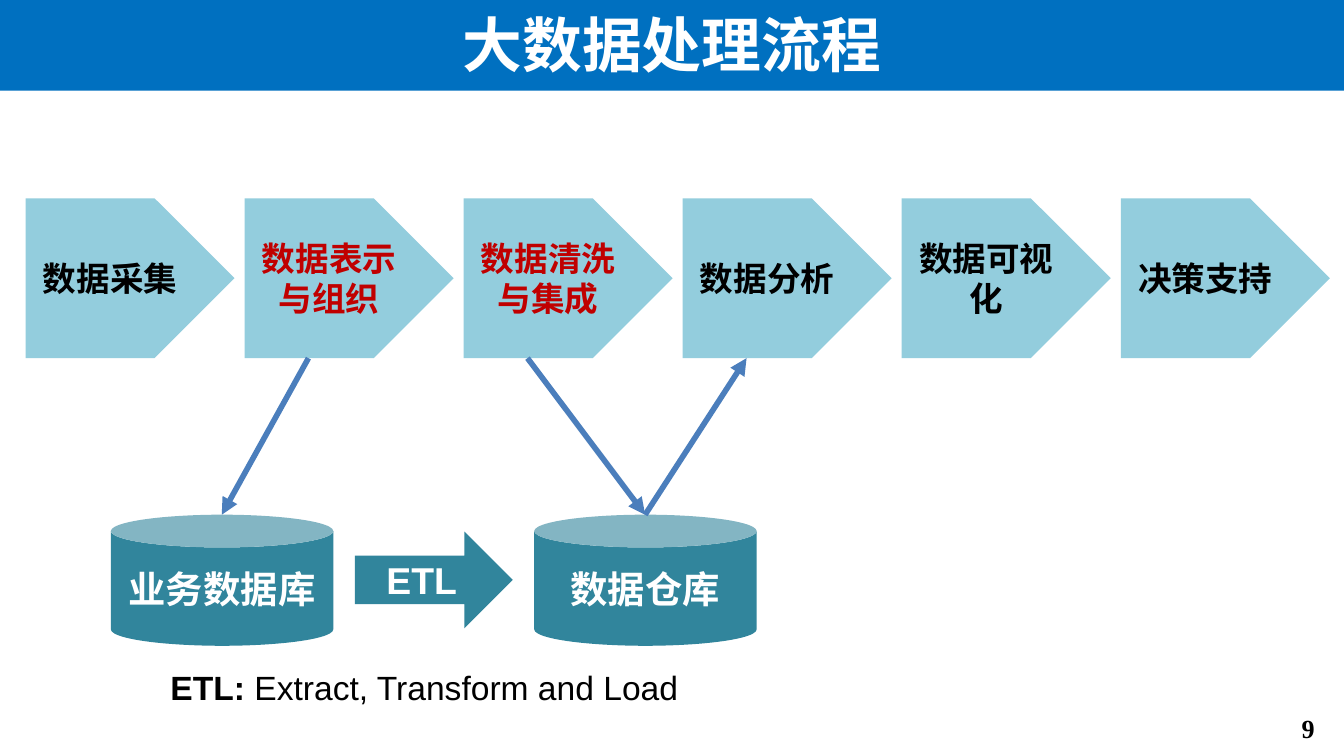
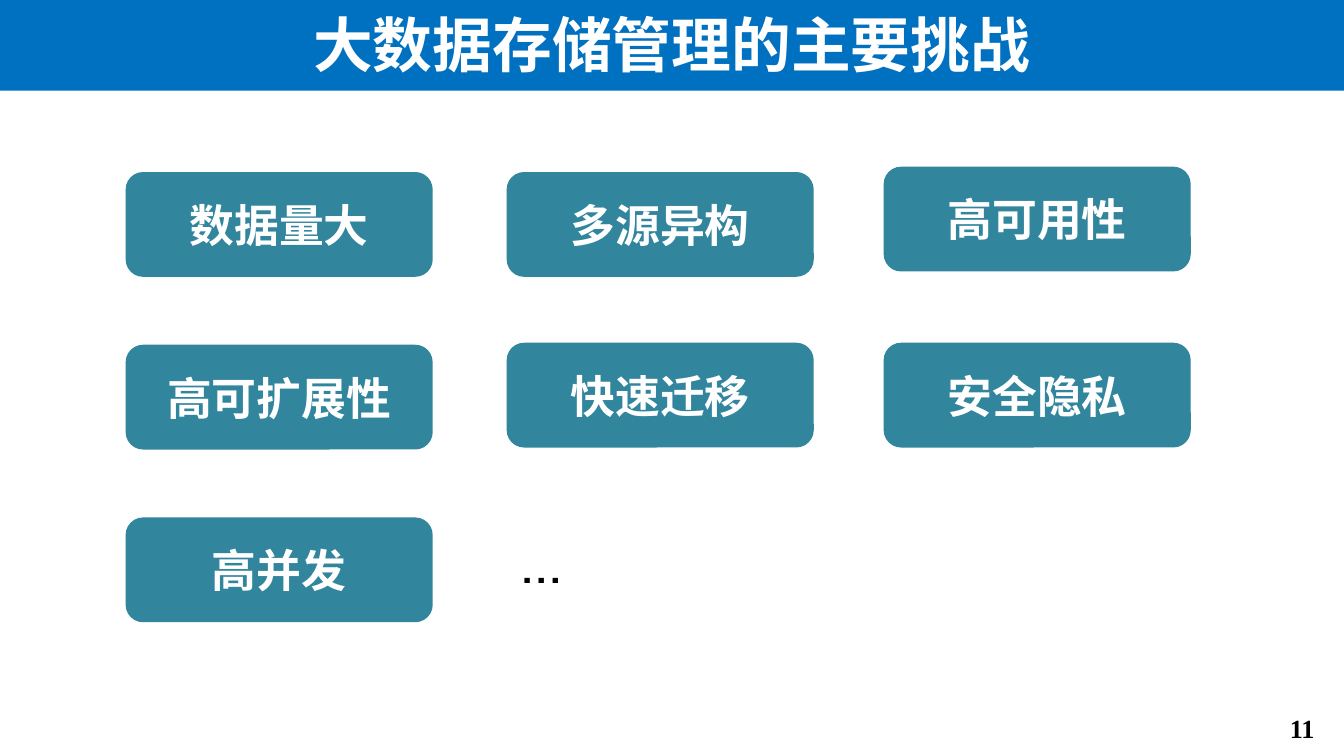
from dataclasses import dataclass

from lxml.etree import SubElement
from pptx import Presentation
from pptx.dml.color import RGBColor
from pptx.enum.shapes import MSO_CONNECTOR, MSO_SHAPE
from pptx.enum.text import MSO_ANCHOR, PP_ALIGN
from pptx.oxml.ns import qn
from pptx.presentation import Presentation as Deck
from pptx.slide import Slide
from pptx.text.text import TextFrame
from pptx.util import Emu, Pt

PX = 4572  # EMU in one px: 200 px to the inch
PAGE_WIDTH, PAGE_HEIGHT = 2000, 1125


@dataclass(frozen=True)
class Theme:
    band: str = "0070C0"
    stage: str = "93CDDD"
    block: str = "31859C"
    arrow: str = "4B7EBC"
    white: str = "FFFFFF"
    black: str = "000000"
    accent: str = "C00000"
    cjk: str = "Noto Sans CJK SC"
    latin: str = "Arial"
    number: str = "Times New Roman"
    symbol: str = "Cabin"
    title_size: int = 32
    challenge_size: int = 24
    block_size: int = 20
    body_size: int = 18
    number_size: int = 14
    arrow_width: int = 3


THEME = Theme()


@dataclass(frozen=True)
class Area:
    left: int
    top: int
    width: int
    height: int

    def emu(self) -> tuple[Emu, ...]:
        sides = (self.left, self.top, self.width, self.height)
        return tuple(Emu(side * PX) for side in sides)


@dataclass(frozen=True)
class Style:
    size: int
    color: str
    font: str = THEME.cjk
    bold: bool = True
    align: PP_ALIGN = PP_ALIGN.CENTER


@dataclass(frozen=True)
class Block:
    text: str
    area: Area
    kind: MSO_SHAPE
    fill: str
    style: Style


@dataclass(frozen=True)
class Arrow:
    start: tuple[int, int]
    end: tuple[int, int]


TITLE = Style(THEME.title_size, THEME.white)
NUMBER = Style(THEME.number_size, THEME.black, THEME.number, align=PP_ALIGN.RIGHT)
STORE = Style(THEME.block_size, THEME.white)
ETL = Style(THEME.block_size, THEME.white, THEME.latin)
CHALLENGE = Style(THEME.challenge_size, THEME.white)
NOTE = Style(THEME.body_size, THEME.black, THEME.latin, align=PP_ALIGN.LEFT)
MORE = Style(THEME.title_size, THEME.black, THEME.symbol, False, PP_ALIGN.LEFT)


# Drawing helpers
def format_text(frame: TextFrame, style: Style) -> None:
    frame.word_wrap = True
    for para in frame.paragraphs:
        para.alignment = style.align
        for span in para.runs:
            font = span.font
            font.size = Pt(style.size)
            font.bold = style.bold
            font.color.rgb = RGBColor.from_string(style.color)
            font.name = style.font
            east_asian = SubElement(font._element, qn("a:ea"))
            east_asian.set("typeface", style.font)


def draw_block(page: Slide, block: Block) -> None:
    shape = page.shapes.add_shape(block.kind, *block.area.emu())
    shape.shadow.inherit = False
    shape.fill.solid()
    shape.fill.fore_color.rgb = RGBColor.from_string(block.fill)
    shape.line.fill.background()
    frame = shape.text_frame
    frame.text = block.text
    frame.vertical_anchor = MSO_ANCHOR.MIDDLE
    format_text(frame, block.style)


def draw_text(page: Slide, text: str, area: Area, style: Style, rest: str = "") -> None:
    """Write a text box; rest follows the text in regular weight."""
    frame = page.shapes.add_textbox(*area.emu()).text_frame
    frame.text = text
    if rest:
        frame.paragraphs[0].add_run().text = rest
    format_text(frame, style)
    if rest:
        frame.paragraphs[0].runs[-1].font.bold = False


def draw_arrow(page: Slide, arrow: Arrow) -> None:
    ends = (Emu(value * PX) for value in (*arrow.start, *arrow.end))
    connector = page.shapes.add_connector(MSO_CONNECTOR.STRAIGHT, *ends)
    connector.line.color.rgb = RGBColor.from_string(THEME.arrow)
    connector.line.width = Pt(THEME.arrow_width)
    properties = connector.element.spPr
    SubElement(properties.find(qn("a:ln")), qn("a:tailEnd")).set("type", "triangle")
    SubElement(properties, qn("a:effectLst"))


def add_page(deck: Deck, title: str, number: int) -> Slide:
    page = deck.slides.add_slide(deck.slide_layouts[6])
    draw_text(page, str(number), Area(1850, 1051, 126, 68), NUMBER)
    band = Area(0, -5, PAGE_WIDTH, 140)
    draw_block(page, Block(title, band, MSO_SHAPE.RECTANGLE, THEME.band, TITLE))
    return page


# Slide 1: processing flow
def build_flow(deck: Deck) -> None:
    page = add_page(deck, "大数据处理流程", 9)

    # Stages, the ones about storage in red
    stages = ("数据采集", "数据表示与组织", "数据清洗与集成", "数据分析", "数据可视化", "决策支持")
    highlighted = stages[1:3]
    stage_lefts = [38 + 326 * index for index in range(len(stages))]
    for stage, left in zip(stages, stage_lefts):
        color = THEME.accent if stage in highlighted else THEME.black
        style = Style(THEME.body_size, color)
        area = Area(left, 295, 311, 238)
        draw_block(page, Block(stage, area, MSO_SHAPE.PENTAGON, THEME.stage, style))

    # Stores and the transfer between them
    stores = {"业务数据库": 165, "数据仓库": 795}
    for name, left in stores.items():
        area = Area(left, 766, 331, 195)
        draw_block(page, Block(name, area, MSO_SHAPE.CAN, THEME.block, STORE))
    transfer = Area(528, 791, 235, 144)
    draw_block(page, Block("ETL", transfer, MSO_SHAPE.RIGHT_ARROW, THEME.block, ETL))

    # Links between stages and stores
    present, clean, analyse = [(left + 95, 533) for left in stage_lefts[1:4]]
    database, warehouse = [(left + 165, 766) for left in stores.values()]
    for start, end in ((present, database), (clean, warehouse), (warehouse, analyse)):
        draw_arrow(page, Arrow(start, end))

    draw_text(page, "ETL: ", Area(234, 983, 822, 80), NOTE, "Extract, Transform and Load")


# Slide 2: storage challenges
def build_challenges(deck: Deck) -> None:
    page = add_page(deck, "大数据存储管理的主要挑战", 11)
    challenges = (
        ("数据量大", 187, 256),
        ("多源异构", 754, 256),
        ("高可用性", 1315, 248),
        ("高可扩展性", 187, 513),
        ("快速迁移", 754, 510),
        ("安全隐私", 1315, 510),
        ("高并发", 187, 770),
    )
    for text, left, top in challenges:
        area = Area(left, top, 457, 156)
        draw_block(page, Block(text, area, MSO_SHAPE.ROUNDED_RECTANGLE, THEME.block, CHALLENGE))
    draw_text(page, "…", Area(756, 770, 378, 128), MORE)


def main() -> None:
    deck = Presentation()
    deck.slide_width = Emu(PAGE_WIDTH * PX)
    deck.slide_height = Emu(PAGE_HEIGHT * PX)
    build_flow(deck)
    build_challenges(deck)
    deck.save("out.pptx")


if __name__ == "__main__":
    main()
